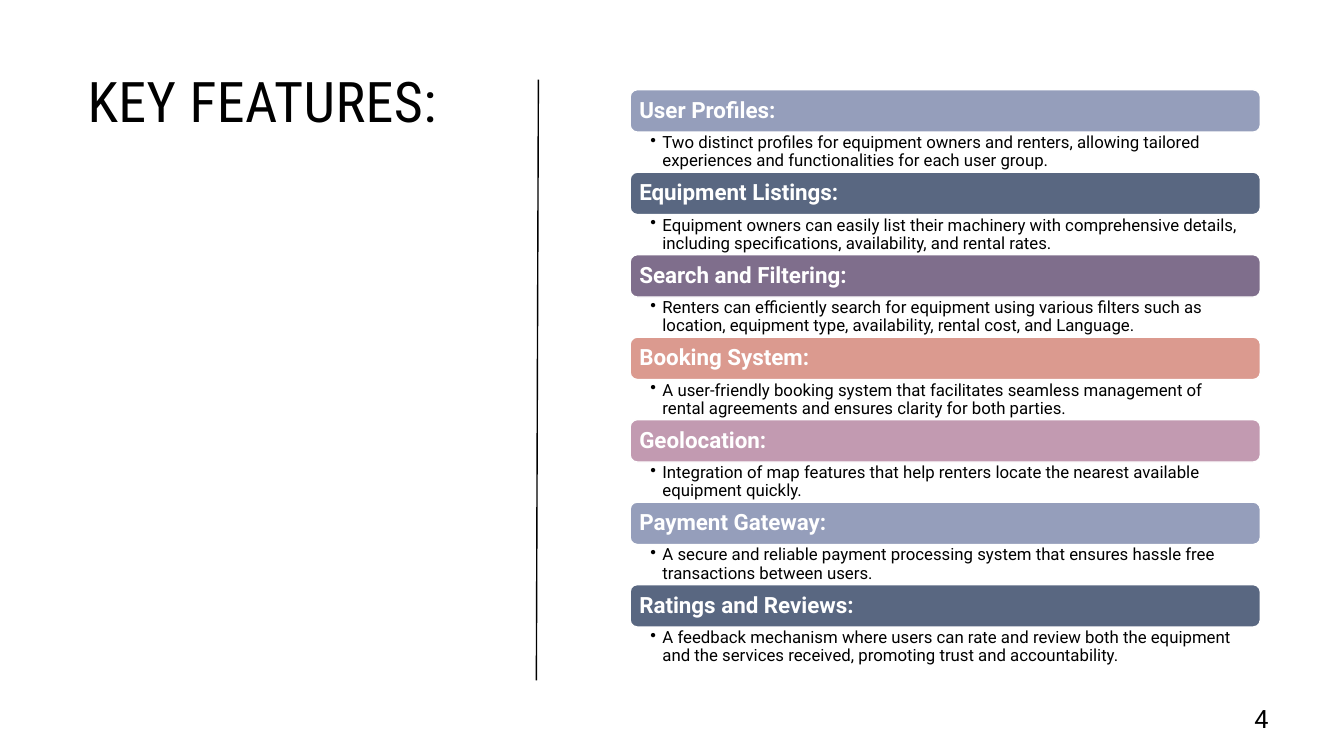
from lxml.etree import SubElement
from pptx import Presentation
from pptx.dml.color import RGBColor
from pptx.enum.shapes import MSO_CONNECTOR, MSO_SHAPE
from pptx.enum.text import MSO_ANCHOR, PP_ALIGN
from pptx.oxml.ns import qn
from pptx.util import Pt

TITLE = "KEY FEATURES:"
PAGE_NUMBER = "4"
FEATURES = [
    ("User Profiles:", "Two distinct profiles for equipment owners and renters, "
     "allowing tailored experiences and functionalities for each user group."),
    ("Equipment Listings:", "Equipment owners can easily list their machinery with comprehensive "
     "details, including specifications, availability, and rental rates."),
    ("Search and Filtering:", "Renters can efficiently search for equipment using various filters "
     "such as location, equipment type, availability, rental cost, and Language."),
    ("Booking System:", "A user-friendly booking system that facilitates seamless management of "
     "rental agreements and ensures clarity for both parties."),
    ("Geolocation:", "Integration of map features that help renters locate the nearest available "
     "equipment quickly."),
    ("Payment Gateway:", "A secure and reliable payment processing system that ensures hassle free "
     "transactions between users."),
    ("Ratings and Reviews:", "A feedback mechanism where users can rate and review both the "
     "equipment and the services received, promoting trust and accountability."),
]
BAR_COLORS = ["959EBB", "596781", "7F6E8C", "DB9A8F", "C29AB1"]
BLACK, WHITE = "000000", "FFFFFF"

# Lengths in px, 100 to the inch
EMU_PER_PX = 9144
LIST_LEFT, LIST_WIDTH = 625, 625
FIRST_TOP, LAST_TOP = 89, 580
BAR_HEIGHT, DETAIL_HEIGHT = 42, 40
BULLET_INDENT = 12


def px(n):
    return round(n * EMU_PER_PX)


def rgb(color):
    return RGBColor.from_string(color)


def write(sp, text, size, color=BLACK, name="Roboto", bold=False, margins=(10, 5, 10, 5),
          anchor=MSO_ANCHOR.TOP, align=PP_ALIGN.LEFT, spacing=0.9):
    """Put one formatted paragraph in a shape; margins are left, top, right, bottom."""
    tf = sp.text_frame
    left, top, right, bottom = map(px, margins)
    p = tf.paragraphs[0]
    r = p.add_run()
    r.text = text
    r.font.color.rgb = rgb(color)
    formats = [
        (tf, dict(word_wrap=True, vertical_anchor=anchor, margin_left=left, margin_top=top,
                  margin_right=right, margin_bottom=bottom)),
        (p, dict(alignment=align, line_spacing=spacing)),
        (r.font, dict(size=Pt(size), name=name, bold=bold)),
    ]
    for target, values in formats:
        for key, value in values.items():
            setattr(target, key, value)
    return p


def add_text(s, box, text, size, **style):
    return write(s.shapes.add_textbox(*map(px, box)), text, size, **style)


def add_bullet(p):
    pPr = p._p.get_or_add_pPr()
    pPr.set("marL", str(px(BULLET_INDENT)))
    pPr.set("indent", str(-px(BULLET_INDENT)))
    SubElement(pPr, qn("a:buChar")).set("char", "•")


def add_divider(s):
    line = s.shapes.add_connector(MSO_CONNECTOR.STRAIGHT, *map(px, (532, 675, 534, 79)))
    line.line.color.rgb = rgb(BLACK)
    line.line.width = Pt(1)
    SubElement(line._element.spPr, qn("a:effectLst"))


def add_feature(s, top, color, heading, detail):
    bar = s.shapes.add_shape(MSO_SHAPE.ROUNDED_RECTANGLE,
                             *map(px, (LIST_LEFT, top, LIST_WIDTH, BAR_HEIGHT)))
    bar.shadow.inherit = False
    bar.fill.solid()
    bar.fill.fore_color.rgb = rgb(color)
    bar.line.color.rgb = rgb(WHITE)
    bar.line.width = Pt(1)
    write(bar, heading, 16, color=WHITE, bold=True, margins=(7, 7, 7, 7),
          anchor=MSO_ANCHOR.MIDDLE)
    box = (LIST_LEFT, top + BAR_HEIGHT, LIST_WIDTH, DETAIL_HEIGHT)
    add_bullet(add_text(s, box, detail, 12, margins=(20, 2, 12, 2)))


def main():
    prs = Presentation()
    prs.slide_width, prs.slide_height = px(1333), px(750)
    s = prs.slides.add_slide(prs.slide_layouts[6])

    add_divider(s)
    title = add_text(s, (77, 61, 396, 499), TITLE, 40, name="Roboto Condensed", spacing=1.0)
    title.runs[0].font._element.set("spc", "30")
    add_text(s, (1194, 695, 74, 40), PAGE_NUMBER, 18, anchor=MSO_ANCHOR.MIDDLE,
             align=PP_ALIGN.RIGHT)

    pitch = (LAST_TOP - FIRST_TOP) / (len(FEATURES) - 1)
    for i, (heading, detail) in enumerate(FEATURES):
        color = BAR_COLORS[i % len(BAR_COLORS)]
        add_feature(s, FIRST_TOP + i * pitch, color, heading, detail)

    prs.save("out.pptx")


if __name__ == "__main__":
    main()
